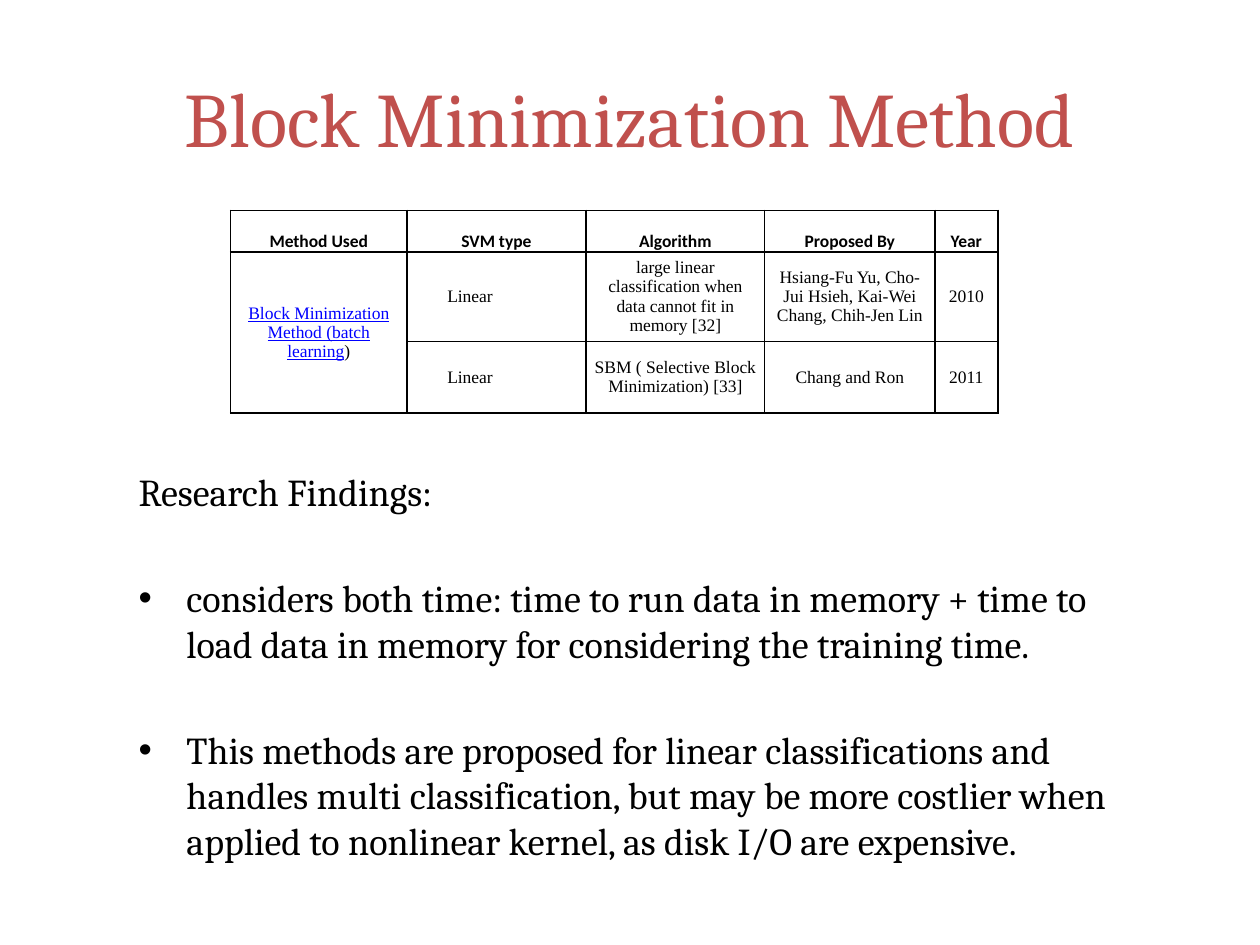
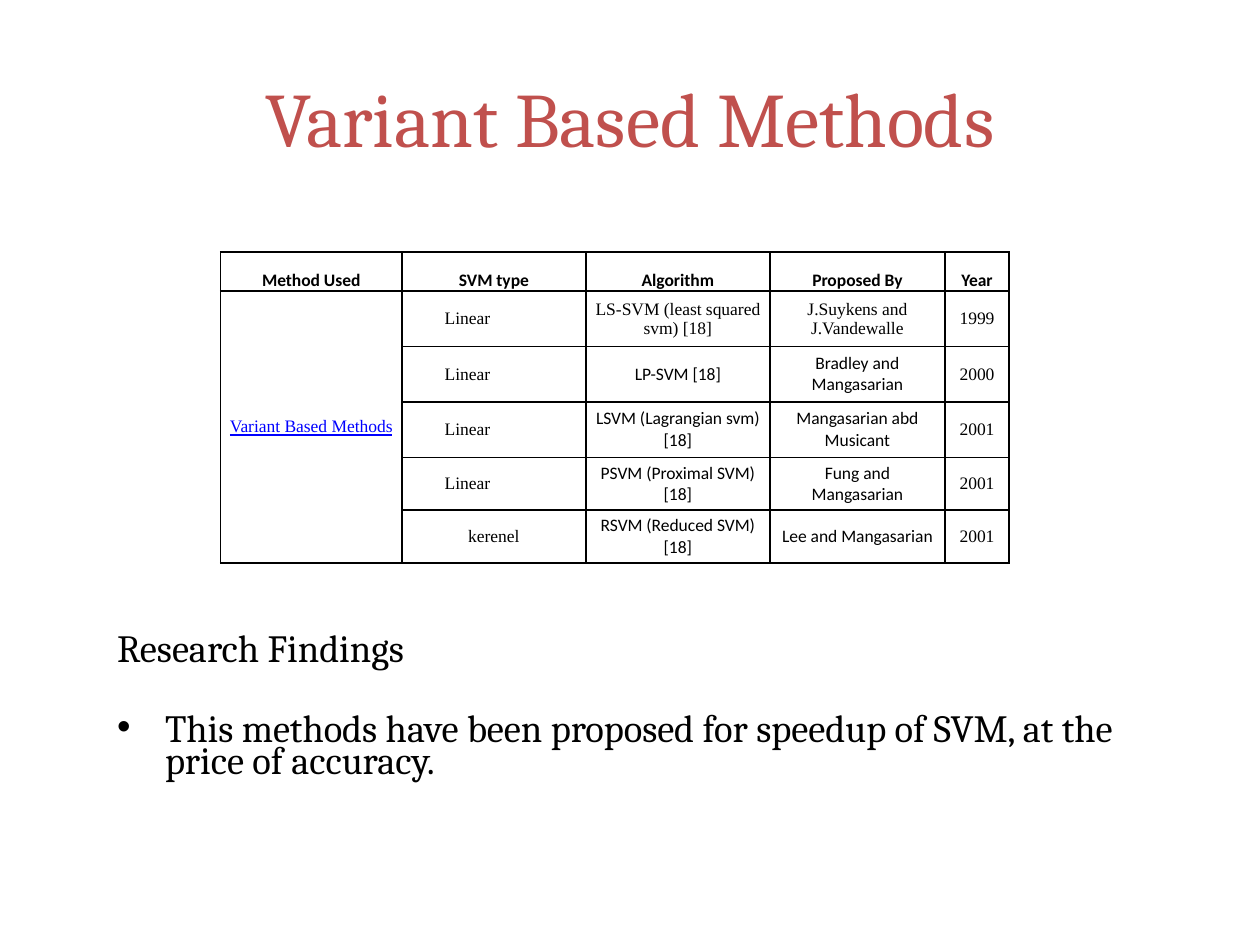
from lxml.etree import SubElement
from pptx import Presentation
from pptx.dml.color import RGBColor
from pptx.enum.text import MSO_ANCHOR, MSO_AUTO_SIZE, PP_ALIGN
from pptx.oxml import parse_xml
from pptx.oxml.ns import nsdecls, qn
from pptx.util import Inches, Pt

COLORS = {"title": "C0504D", "text": "000000", "link": "0000FF", "border": "000000"}
HEADING_FONT, TABLE_FONT, HEADER_FONT = "Cambria", "Times New Roman", "Calibri"
HEADERS = ["Method Used", "SVM type", "Algorithm", "Proposed By", "Year"]
LINEAR_SHIFT = 0.42


def style_font(font, name, size, color, bold=False):
    font.name = name
    font.size = Pt(size)
    font.bold = bold
    font.color.rgb = RGBColor.from_string(COLORS[color])


def place(shape, left, top, width, height):
    shape.left, shape.top = Inches(left), Inches(top)
    shape.width, shape.height = Inches(width), Inches(height)


def add_titled_slide(prs, title_text):
    slide = prs.slides.add_slide(prs.slide_layouts[1])
    title = slide.shapes.title
    place(title, 0.5, 0.3, 9, 1.25)
    title.text_frame.text = title_text
    heading = title.text_frame.paragraphs[0]
    heading.alignment = PP_ALIGN.CENTER
    style_font(heading.font, HEADING_FONT, 44, "title")
    return slide


def set_bullet(paragraph, bulleted):
    properties = paragraph._p.get_or_add_pPr()
    properties.set("marL", str(Inches(0.38)))
    properties.set("indent", str(-Inches(0.38)))
    if bulleted:
        SubElement(properties, qn("a:buFont")).set("typeface", "Arial")
        SubElement(properties, qn("a:buChar")).set("char", "•")
    else:
        SubElement(properties, qn("a:buNone"))


def add_findings(slide, bounds, heading, findings, size, gap, line_spacing=1.0):
    body = slide.placeholders[1]
    place(body, *bounds)
    frame = body.text_frame
    frame.auto_size = MSO_AUTO_SIZE.NONE
    for index, text in enumerate([heading, *findings]):
        paragraph = frame.add_paragraph() if index else frame.paragraphs[0]
        paragraph.text = text
        paragraph.line_spacing = line_spacing
        paragraph.space_before = Pt(gap if index else 0)
        set_bullet(paragraph, index > 0)
        style_font(paragraph.font, HEADING_FONT, size, "text")


def set_borders(cell):
    properties = cell._tc.get_or_add_tcPr()
    for position, side in enumerate(["lnL", "lnR", "lnT", "lnB"]):
        properties.insert(position, parse_xml(
            f'<a:{side} {nsdecls("a")} w="{Pt(1)}"><a:solidFill>'
            f'<a:srgbClr val="{COLORS["border"]}"/></a:solidFill></a:{side}>'))


def fill_cell(cell, text, font_name, side_margin, is_header=False):
    cell.vertical_anchor = MSO_ANCHOR.BOTTOM if is_header else MSO_ANCHOR.MIDDLE
    cell.margin_top = cell.margin_bottom = 0
    cell.margin_left = Inches(side_margin)
    cell.margin_right = Inches(side_margin + (LINEAR_SHIFT if text == "Linear" else 0))
    paragraph = cell.text_frame.paragraphs[0]
    paragraph.text = text
    paragraph.alignment = PP_ALIGN.CENTER
    style_font(paragraph.font, font_name, 10, "text", is_header)


def add_method_table(slide, origin, widths, heights, method, studies, side_margin,
                     method_suffix="", calibri_from=None):
    shape = slide.shapes.add_table(
        len(heights), len(widths), Inches(origin[0]), Inches(origin[1]),
        Inches(sum(widths)), Inches(sum(heights)))
    table = shape.table
    table.first_row = table.horz_banding = False
    for column, width in zip(table.columns, widths):
        column.width = Inches(width)
    for row, height in zip(table.rows, heights):
        row.height = Inches(height)
    for cell in table.iter_cells():
        cell.fill.background()
        set_borders(cell)

    for column, header in enumerate(HEADERS):
        fill_cell(table.cell(0, column), header, HEADER_FONT, 0.03, is_header=True)
    for row, study in enumerate(studies, start=1):
        for column, text in enumerate(study, start=1):
            in_calibri = calibri_from and row >= calibri_from and column in (2, 3)
            font_name = HEADER_FONT if in_calibri else TABLE_FONT
            fill_cell(table.cell(row, column), text, font_name, side_margin)

    method_cell = table.cell(1, 0)
    method_cell.merge(table.cell(len(studies), 0))
    fill_cell(method_cell, method, TABLE_FONT, side_margin)
    paragraph = method_cell.text_frame.paragraphs[0]
    method_font = paragraph.runs[0].font
    method_font.underline = True
    method_font.color.rgb = RGBColor.from_string(COLORS["link"])
    if method_suffix:
        paragraph.add_run().text = method_suffix


def add_block_minimization(prs):
    slide = add_titled_slide(prs, "Block Minimization Method")
    add_method_table(
        slide, (1.83, 1.67), [1.4, 1.42, 1.42, 1.35, 0.5], [0.33, 0.71, 0.57],
        "Block Minimization Method (batch learning",
        [("Linear", "large linear classification when data cannot fit in memory [32]",
          "Hsiang-Fu Yu, Cho-Jui Hsieh, Kai-Wei Chang, Chih-Jen Lin", "2010"),
         ("Linear", "SBM ( Selective Block Minimization) [33]", "Chang and Ron", "2011")],
        0.05, method_suffix=")")
    add_findings(
        slide, (1, 3.67, 8.17, 3.28), "Research Findings:",
        ["considers both time: time to run data in memory + time to load data in memory "
         "for considering the training time.",
         "This methods are proposed for linear classifications and handles multi "
         "classification, but may be more costlier when applied to nonlinear kernel, "
         "as disk I/O are expensive."],
        size=21.7, gap=34.5)


def add_variant_methods(prs):
    slide = add_titled_slide(prs, "Variant Based Methods")
    add_findings(
        slide, (0.83, 5, 8.33, 1.42), "Research Findings",
        ["This methods have been proposed for speedup of SVM, at the price of accuracy."],
        size=22, gap=27.4, line_spacing=0.7)
    add_method_table(
        slide, (1.75, 2), [1.44, 1.46, 1.46, 1.39, 0.51],
        [0.31, 0.44, 0.44, 0.44, 0.42, 0.42], "Variant Based Methods",
        [("Linear", "LS-SVM (least squared svm) [18]", "J.Suykens and J.Vandewalle", "1999"),
         ("Linear", "LP-SVM [18]", "Bradley and Mangasarian", "2000"),
         ("Linear", "LSVM (Lagrangian svm) [18]", "Mangasarian abd Musicant", "2001"),
         ("Linear", "PSVM (Proximal SVM) [18]", "Fung and Mangasarian", "2001"),
         ("kerenel", "RSVM (Reduced SVM) [18]", "Lee and Mangasarian", "2001")],
        0.07, calibri_from=2)


def main():
    """Build the two slides on SVM training methods."""
    prs = Presentation()
    prs.slide_width, prs.slide_height = Inches(10), Inches(7.5)
    add_block_minimization(prs)
    add_variant_methods(prs)
    prs.save("out.pptx")


if __name__ == "__main__":
    main()
